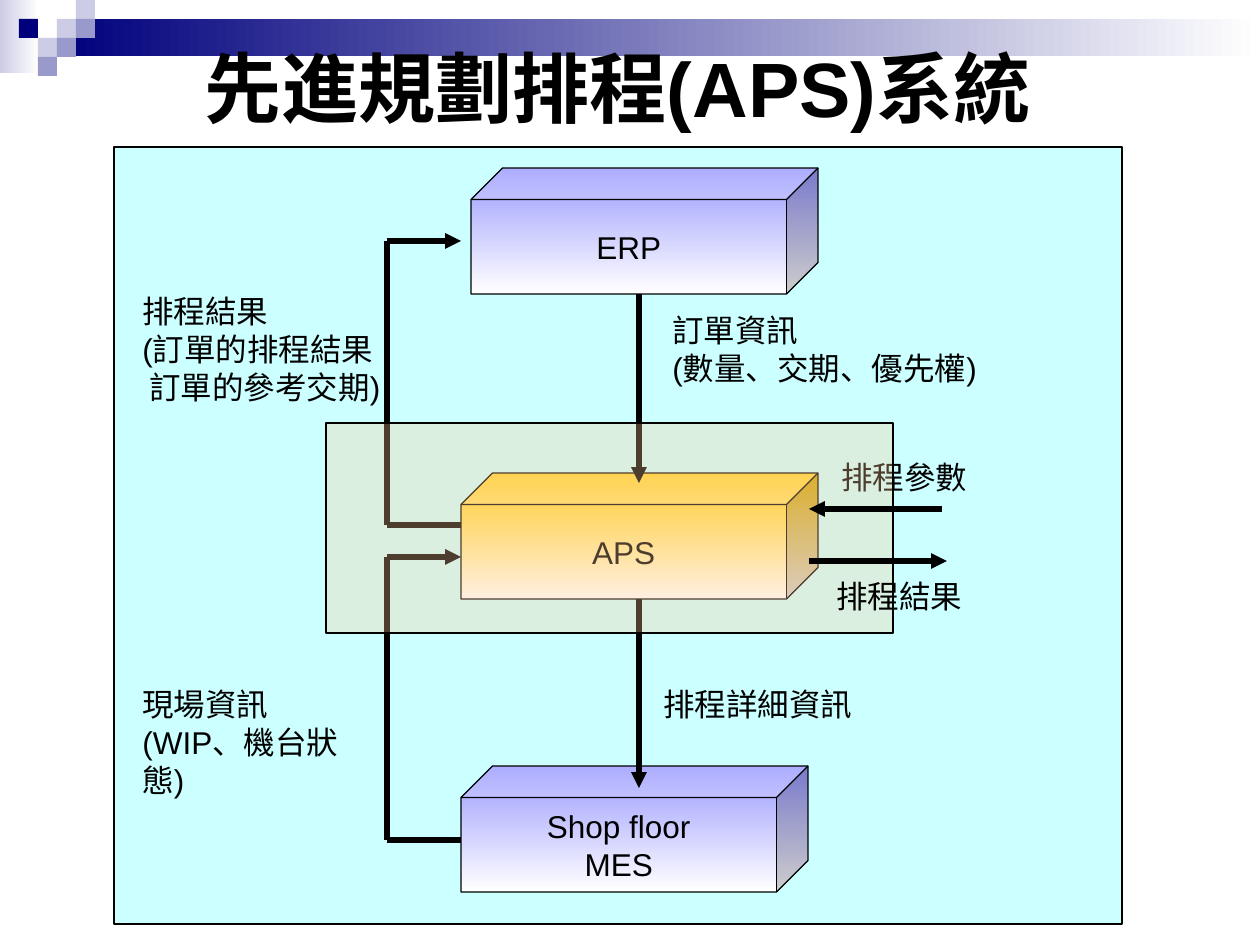
from typing import NamedTuple, Optional, Union

import lxml.etree
import pptx
import pptx.dml.color
import pptx.enum.shapes
import pptx.enum.text
import pptx.oxml.ns
import pptx.util

RGBColor = pptx.dml.color.RGBColor
Shapes = pptx.enum.shapes.MSO_SHAPE
Align = pptx.enum.text.PP_ALIGN
Anchor = pptx.enum.text.MSO_ANCHOR
qn = pptx.oxml.ns.qn

EMU_PER_PX = 914400 / 126
BLACK = RGBColor(0x00, 0x00, 0x00)
WHITE = RGBColor(0xFF, 0xFF, 0xFF)
NAVY = RGBColor(0x00, 0x00, 0x7D)
LAVENDER = RGBColor(0xCC, 0xCC, 0xE6)
PERIWINKLE = RGBColor(0x99, 0x99, 0xCC)
PALE_CYAN = RGBColor(0xCC, 0xFF, 0xFF)
SYSTEM_BLUE = RGBColor(0x99, 0x99, 0xFF)
APS_GOLD = RGBColor(0xFF, 0xCC, 0x00)
PEACH = RGBColor(0xFF, 0xCC, 0x99)

TILE = 19


class Fade(NamedTuple):
    """Gradient from a colour to white, angle in degrees clockwise."""
    start: RGBColor
    angle: int


class Box(NamedTuple):
    left: int
    top: int
    width: int
    height: int


class Tile(NamedTuple):
    column: int
    row: int
    color: RGBColor


class System(NamedTuple):
    text: str
    box: Box
    color: RGBColor


class Label(NamedTuple):
    text: str
    box: Box
    wrap: bool = False


class Arrow(NamedTuple):
    x1: int
    y1: int
    x2: int
    y2: int
    head: bool = True


class Feedback(NamedTuple):
    """Three-part line that leaves one system and returns to a higher one."""
    start_y: int
    end_y: int


TILES = [
    Tile(3, 1, LAVENDER), Tile(4, 0, LAVENDER), Tile(4, 1, PERIWINKLE),
    Tile(2, 2, LAVENDER), Tile(1, 1, NAVY), Tile(3, 2, PERIWINKLE),
    Tile(2, 3, PERIWINKLE),
]
SYSTEMS = [
    System("APS", Box(461, 473, 357, 126), APS_GOLD),
    System("Shop floor\nMES", Box(461, 766, 347, 126), SYSTEM_BLUE),
    System("ERP", Box(471, 168, 347, 126), SYSTEM_BLUE),
]
DOWNWARD = [Arrow(639, 294, 639, 483), Arrow(639, 599, 639, 788)]
FEEDBACKS = [Feedback(525, 241), Feedback(840, 557)]
FEEDBACK_LEFT, FEEDBACK_RIGHT = 387, 461
FLOW_LABELS = [
    Label("排程結果\n(訂單的排程結果\n 訂單的參考交期)", Box(130, 286, 265, 127), True),
    Label("現場資訊\n(WIP、機台狀態)", Box(130, 679, 257, 89), True),
    Label("排程詳細資訊", Box(651, 679, 214, 50)),
    Label("訂單資訊\n(數量、交期、優先權)", Box(660, 305, 331, 89), True),
    Label("排程參數", Box(829, 452, 152, 50)),
]
PLANNER_ARROWS = [Arrow(942, 509, 809, 509), Arrow(809, 561, 947, 561)]
RESULT_LABEL = Label("排程結果", Box(824, 571, 152, 50))


def px(length: int) -> int:
    return round(length * EMU_PER_PX)


def write(frame, text: str, *, size: int = 18, bold: bool = False,
          align=Align.LEFT, anchor=Anchor.TOP, wrap: bool = False) -> None:
    frame.word_wrap = wrap
    frame.vertical_anchor = anchor
    frame.text = text
    for paragraph in frame.paragraphs:
        paragraph.alignment = align
        paragraph.font.name = "Arial"
        paragraph.font.size = pptx.util.Pt(size)
        paragraph.font.bold = bold
        paragraph.font.color.rgb = BLACK


def draw_shape(slide, box: Box, fill: Union[RGBColor, Fade], *,
               preset=Shapes.RECTANGLE, outlined: bool = False,
               opacity: Optional[int] = None):
    shape = slide.shapes.add_shape(preset, *map(px, box))
    shape.shadow.inherit = False
    if isinstance(fill, Fade):
        shape.fill.gradient()
        shape.fill.gradient_angle = -fill.angle % 360
        for stop, color, position in zip(shape.fill.gradient_stops, (fill.start, WHITE), (0, 1)):
            stop.color.rgb = color
            stop.position = position
    else:
        shape.fill.solid()
        shape.fill.fore_color.rgb = fill
    if opacity is not None:
        color = shape.fill._xPr.find(qn("a:solidFill"))[0]
        lxml.etree.SubElement(color, qn("a:alpha"), val=str(opacity * 1000))
    if outlined:
        shape.line.color.rgb = BLACK
        shape.line.width = pptx.util.Pt(0.75)
    else:
        shape.line.fill.background()
    return shape


def draw_arrow(slide, arrow: Arrow) -> None:
    connector = slide.shapes.add_connector(
        pptx.enum.shapes.MSO_CONNECTOR.STRAIGHT, *map(px, arrow[:4]))
    connector.line.color.rgb = BLACK
    connector.line.width = pptx.util.Pt(3)
    if arrow.head:
        lxml.etree.SubElement(connector.line._get_or_add_ln(), qn("a:tailEnd"), type="triangle")
    lxml.etree.SubElement(connector._element.spPr, qn("a:effectLst"))


def draw_feedback(slide, feedback: Feedback) -> None:
    left, right = FEEDBACK_LEFT, FEEDBACK_RIGHT
    start, end = feedback
    draw_arrow(slide, Arrow(right, start, left, start, head=False))
    draw_arrow(slide, Arrow(left, start, left, end, head=False))
    draw_arrow(slide, Arrow(left, end, right, end))


def draw_label(slide, label: Label, **text_format) -> None:
    textbox = slide.shapes.add_textbox(*map(px, label.box))
    write(textbox.text_frame, label.text, wrap=label.wrap, **text_format)


def draw_system(slide, system: System) -> None:
    cube = draw_shape(slide, system.box, Fade(system.color, 90), preset=Shapes.CUBE, outlined=True)
    write(cube.text_frame, system.text, align=Align.CENTER, anchor=Anchor.MIDDLE)


def draw_header(slide) -> None:
    draw_shape(slide, Box(0, 0, 39, 73), Fade(LAVENDER, 0))
    draw_shape(slide, Box(3 * TILE, TILE, 1260 - 3 * TILE, 2 * TILE - 1), Fade(NAVY, 0))
    for tile in TILES:
        draw_shape(slide, Box(tile.column * TILE, tile.row * TILE, TILE, TILE), tile.color)
    title = Label("先進規劃排程(APS)系統", Box(123, 34, 989, 106), True)
    draw_label(slide, title, size=44, bold=True, align=Align.CENTER)


def draw_diagram(slide) -> None:
    draw_shape(slide, Box(114, 147, 1008, 777), PALE_CYAN, outlined=True)
    for system in SYSTEMS:
        draw_system(slide, system)
    for arrow in DOWNWARD:
        draw_arrow(slide, arrow)
    for feedback in FEEDBACKS:
        draw_feedback(slide, feedback)
    for label in FLOW_LABELS:
        draw_label(slide, label)
    draw_shape(slide, Box(326, 423, 567, 210), PEACH, outlined=True, opacity=30)
    for arrow in PLANNER_ARROWS:
        draw_arrow(slide, arrow)
    draw_label(slide, RESULT_LABEL)


def main() -> None:
    presentation = pptx.Presentation()
    presentation.slide_width = px(1260)
    presentation.slide_height = px(945)
    slide = presentation.slides.add_slide(presentation.slide_layouts[6])
    draw_header(slide)
    draw_diagram(slide)
    presentation.save("out.pptx")


if __name__ == "__main__":
    main()
